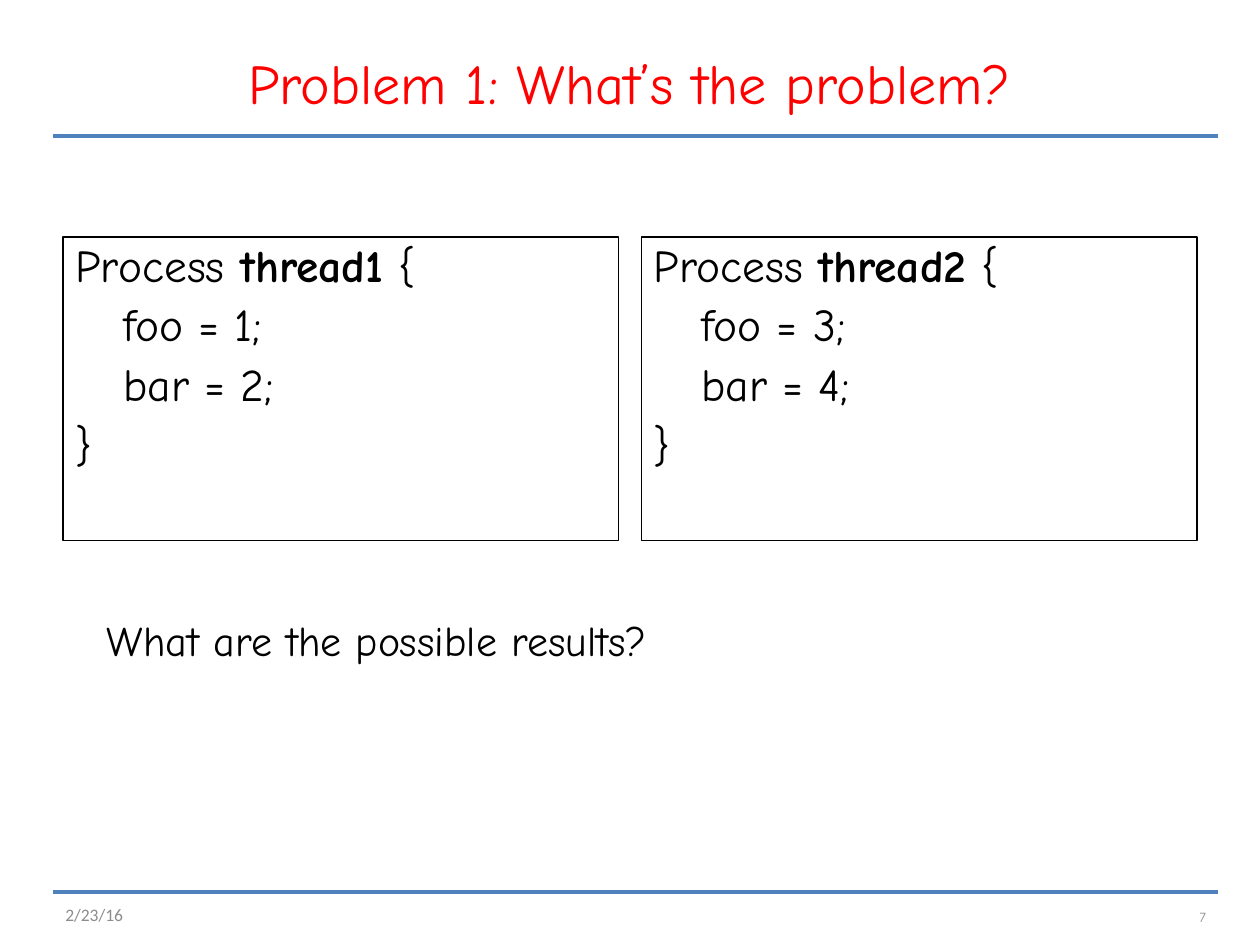
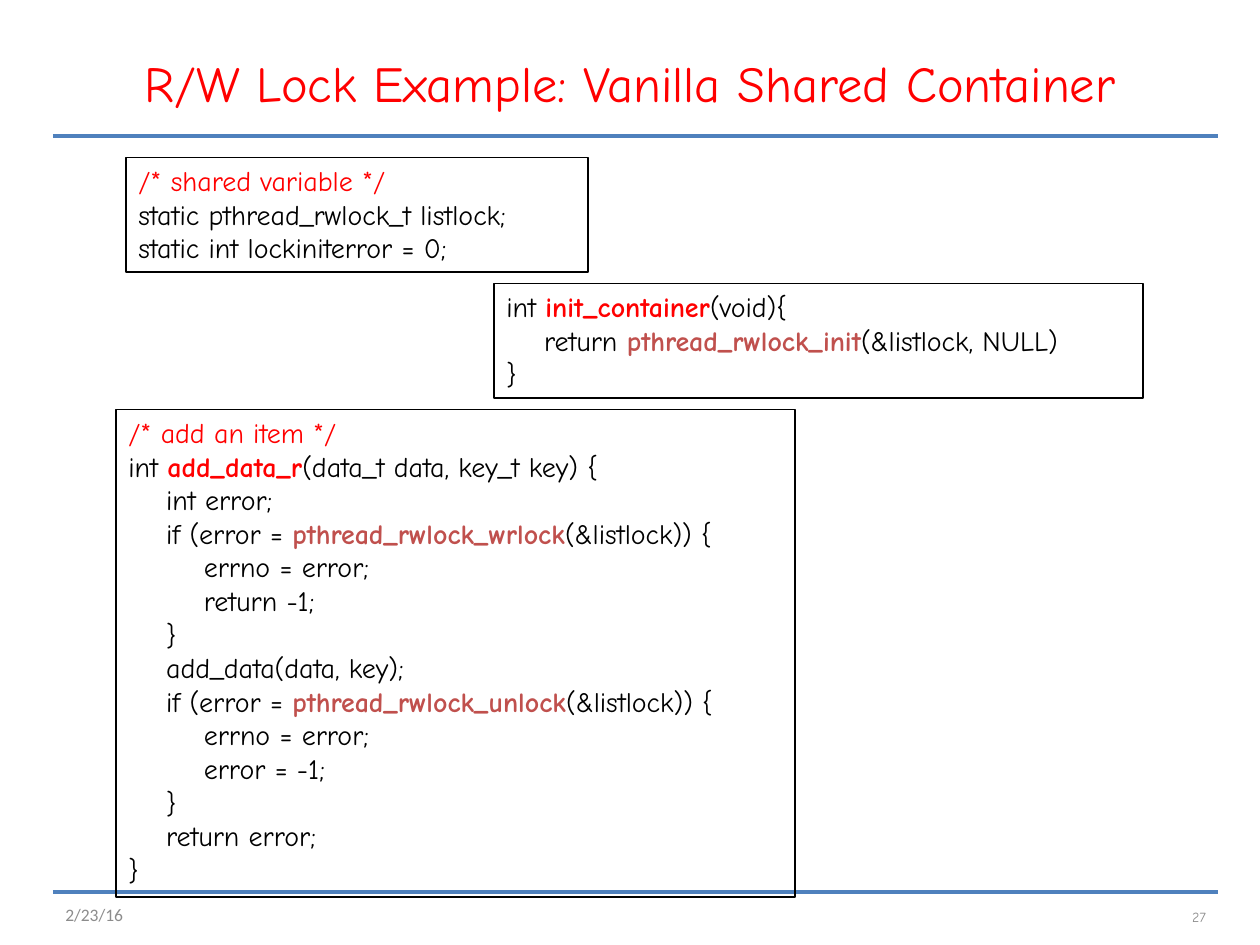
"""Build two lecture slides on thread races and reader/writer locks."""
from dataclasses import dataclass

from lxml import etree
from pptx import Presentation
from pptx.dml.color import RGBColor
from pptx.enum.shapes import MSO_CONNECTOR, MSO_SHAPE
from pptx.enum.text import MSO_ANCHOR, PP_ALIGN
from pptx.oxml.ns import qn
from pptx.util import Emu, Pt

STRAIGHT, RECT = MSO_CONNECTOR.STRAIGHT, MSO_SHAPE.RECTANGLE
TOP, MIDDLE = MSO_ANCHOR.TOP, MSO_ANCHOR.MIDDLE
LEFT, CENTER, RIGHT = PP_ALIGN.LEFT, PP_ALIGN.CENTER, PP_ALIGN.RIGHT
BLANK = 6
EMU_PER_PX = 9144


@dataclass(frozen=True)
class Theme:
    """Colours, fonts and type sizes shared by the slides."""
    ink: str = "000000"
    red: str = "FF0000"
    brick: str = "C0504D"
    rule: str = "4F81BD"
    grey: str = "8C8C8C"
    paper: str = "FFFFFF"
    hand: str = "Comic Neue"
    plain: str = "Calibri"
    title: float = 32
    long_title: float = 28.8
    process: float = 26
    question: float = 24
    code: float = 16
    date: float = 10
    number: float = 8


T = Theme()
STYLES = {
    "text": {"color": T.ink, "bold": False},
    "strong": {"color": T.ink, "bold": True},
    "comment": {"color": T.red, "bold": False},
    "name": {"color": T.red, "bold": True},
    "call": {"color": T.brick, "bold": True},
    "footer": {"color": T.grey, "bold": False},
}
PROCESS_FORMAT = {"line_spacing": 0.9, "space_before": Pt(6)}


def px(n):
    """Turn px into EMU."""
    return Emu(n * EMU_PER_PX)


def rgb(color):
    """Turn a hex string into a colour."""
    return RGBColor.from_string(color)


def apply(obj, values):
    """Set each named attribute on an object."""
    for name, value in values.items():
        setattr(obj, name, value)


def add_run(p, text, style, size, font):
    """Add a run in one of the named styles."""
    r = p.add_run()
    r.text = text
    look = STYLES[style]
    apply(r.font, {"name": font, "size": Pt(size), "bold": look["bold"]})
    r.font.color.rgb = rgb(look["color"])


def write(sp, lines, size, font=T.hand, anchor=TOP, align=LEFT, step=0, fmt=None):
    """Write lines, each an indent level followed by (text, style) runs."""
    tf = sp.text_frame
    apply(tf, {"word_wrap": True, "vertical_anchor": anchor})
    for i, (level, *runs) in enumerate(lines):
        p = tf.add_paragraph() if i else tf.paragraphs[0]
        apply(p, {"alignment": align, **(fmt or {})})
        if i == 0:
            p.space_before = Pt(0)
        if level:
            p._p.get_or_add_pPr().set("marL", str(px(level * step)))
        for text, style in runs:
            add_run(p, text, style, size, font)


def add_text(s, box, text, size, style="text", **layout):
    """Add a text box with one line."""
    sp = s.shapes.add_textbox(*map(px, box))
    write(sp, [(0, (text, style))], size, **layout)


def add_code(s, box, lines, size=T.code, border=1, step=30, fill=None, fmt=None):
    """Add an outlined box of code."""
    sp = s.shapes.add_shape(RECT, *map(px, box))
    sp.shadow.inherit = False
    if fill:
        sp.fill.solid()
        sp.fill.fore_color.rgb = rgb(fill)
    else:
        sp.fill.background()
    sp.line.color.rgb = rgb(T.ink)
    sp.line.width = Pt(border)
    write(sp, lines, size, step=step, fmt=fmt)


def add_rule(s, y):
    """Add a rule across the slide."""
    c = s.shapes.add_connector(STRAIGHT, px(42), px(y), px(967), px(y))
    c.line.color.rgb = rgb(T.rule)
    c.line.width = Pt(2)
    etree.SubElement(c._element.spPr, qn("a:effectLst"))


def add_slide(prs, title, number, size=T.title):
    """Add a slide with its rules, title, number and date."""
    s = prs.slides.add_slide(prs.slide_layouts[BLANK])
    for y in (108, 708):
        add_rule(s, y)
    add_text(s, (50, 30, 900, 70), title, size, "comment", anchor=MIDDLE, align=CENTER)
    add_text(s, (875, 708, 92, 40), number, T.number, "footer", anchor=MIDDLE, align=RIGHT)
    add_text(s, (42, 710, 150, 32), "2/23/16", T.date, "footer", font=T.plain, anchor=MIDDLE)
    return s


def code(level, text):
    """Make a line of plain code."""
    return level, (text, "text")


def lock_check(call, outcome):
    """Make the lines that call a lock function and handle its error."""
    return [
        (1, ("if (error = ", "text"), (call, "call"), ("(&listlock)) {", "text")),
        code(2, "errno = error;"),
        code(2, outcome),
        code(1, "}"),
    ]


def problem_slide(prs):
    """Build the slide with two racing threads."""
    s = add_slide(prs, "Problem 1: What’s the problem?", "7")
    for i, (foo, bar) in enumerate([(1, 2), (3, 4)]):
        lines = [
            (0, ("Process ", "text"), (f"thread{i + 1}", "strong"), (" {", "text")),
            code(1, f"foo = {foo};"),
            code(1, f"bar = {bar};"),
            code(0, "}"),
        ]
        add_code(s, (50 + 459 * i, 188, 441, 241), lines, T.process, 0.75, 38,
                 fmt=PROCESS_FORMAT)
    add_text(s, (75, 483, 850, 50), "What are the possible results?", T.question)


def lock_slide(prs):
    """Build the slide with the read/write lock code."""
    s = add_slide(prs, "R/W Lock Example: Vanilla Shared Container", "27", T.long_title)
    add_code(s, (392, 225, 515, 91), [
        (0, ("int ", "text"), ("init_container", "name"), ("(void){", "text")),
        (1, ("return ", "text"), ("pthread_rwlock_init", "call"),
         ("(&listlock, NULL)", "text")),
        code(0, "}"),
    ], fill=T.paper)
    add_code(s, (92, 325, 539, 387), [
        (0, ("/* add an item */", "comment")),
        (0, ("int ", "text"), ("add_data_r", "name"),
         ("(data_t data, key_t key) {", "text")),
        code(1, "int error;"),
        *lock_check("pthread_rwlock_wrlock", "return -1;"),
        code(1, "add_data(data, key);"),
        *lock_check("pthread_rwlock_unlock", "error = -1;"),
        code(1, "return error;"),
        code(0, "}"),
    ])
    add_code(s, (100, 125, 367, 91), [
        (0, ("/* shared variable */", "comment")),
        code(0, "static pthread_rwlock_t listlock;"),
        code(0, "static int lockiniterror = 0;"),
    ])


def main():
    """Build and save the slides."""
    prs = Presentation()
    apply(prs, {"slide_width": px(1000), "slide_height": px(750)})
    problem_slide(prs)
    lock_slide(prs)
    prs.save("out.pptx")


if __name__ == "__main__":
    main()
